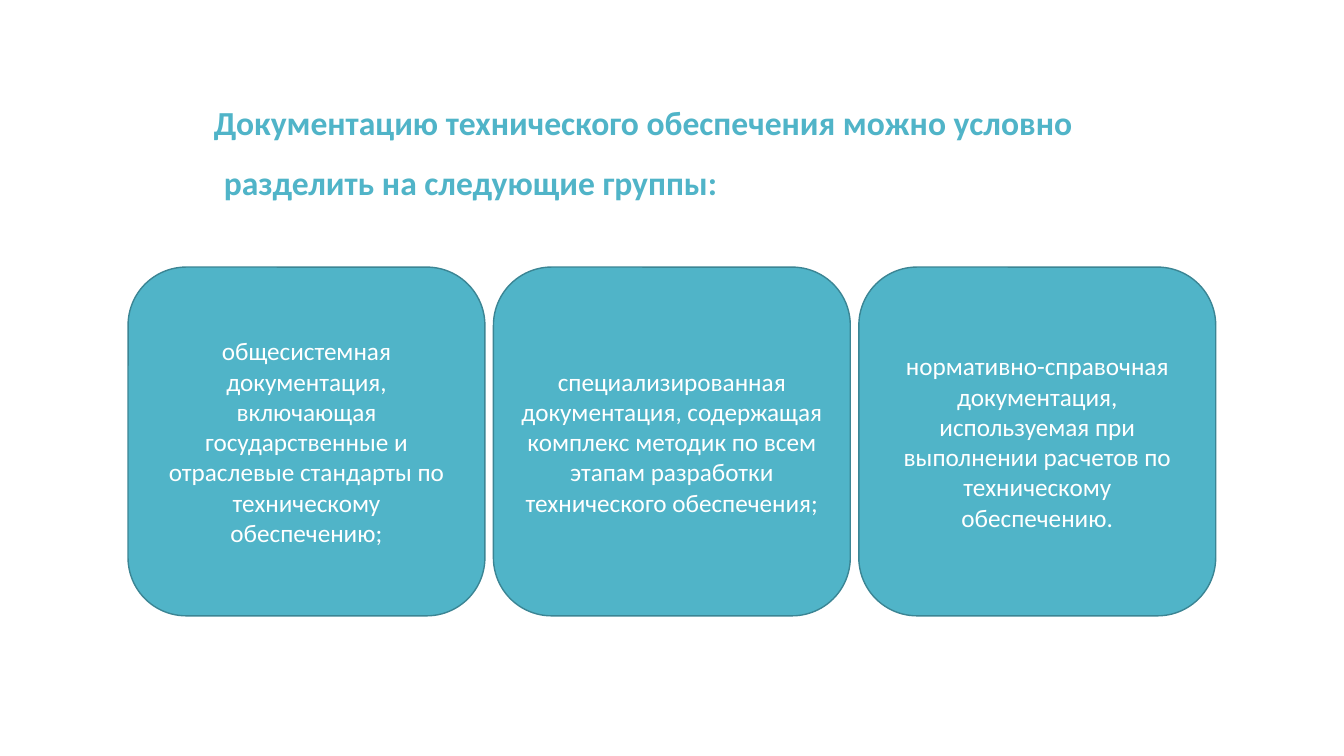
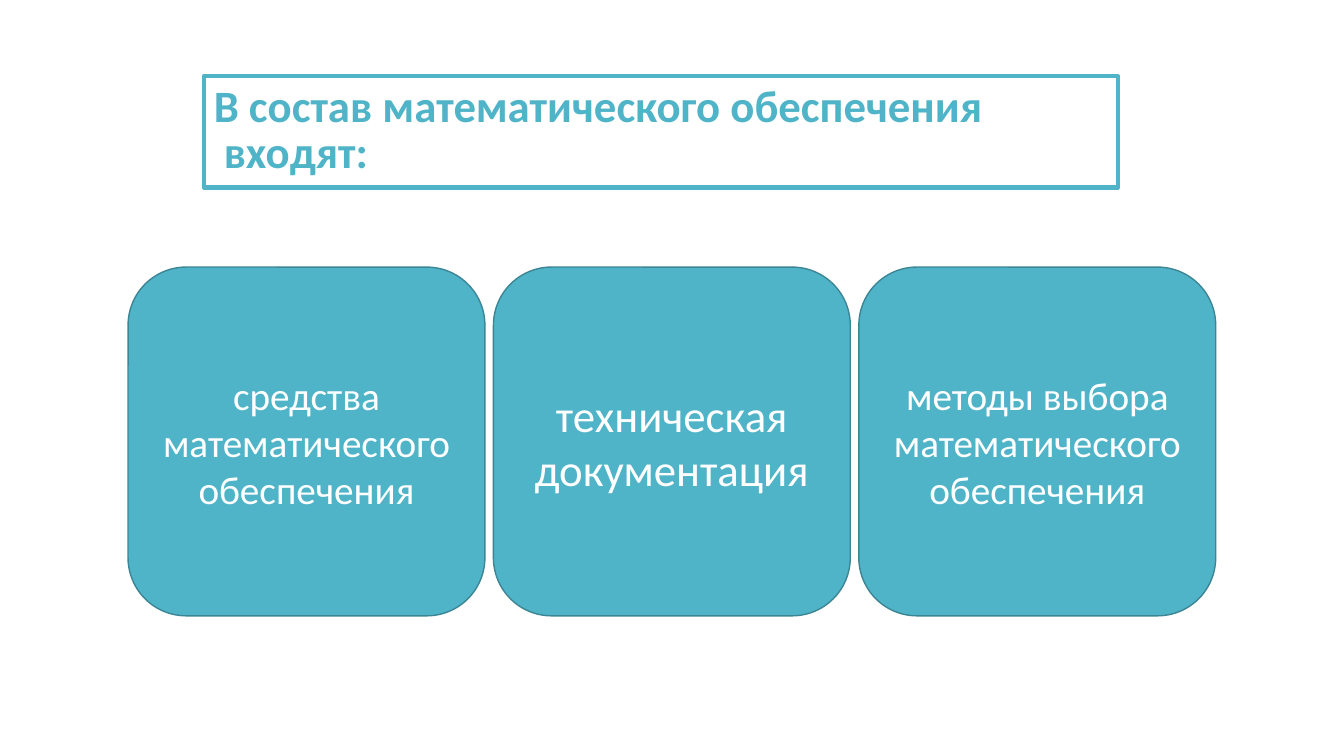
from pptx import Presentation
from pptx.dml.color import RGBColor
from pptx.enum.shapes import MSO_SHAPE
from pptx.enum.text import MSO_ANCHOR, MSO_AUTO_SIZE, PP_ALIGN
from pptx.util import Pt

TEAL, EDGE, WHITE = "50B4C8", "3B8594", "FFFFFF"
LEFT, TOP, WIDE, HIGH, STEP = 91.5, 190.8, 254.9, 249.1, 261


def paint(part, color):
    if hasattr(part, "solid"):
        part.solid()
        part = part.fore_color
    part.rgb = RGBColor.from_string(color)


def write(shape, text, size, color, bold=False, align=PP_ALIGN.CENTER,
          anchor=MSO_ANCHOR.MIDDLE, space=1.0, hang=0):
    frame = shape.text_frame
    frame.word_wrap = True
    frame.auto_size = MSO_AUTO_SIZE.NONE
    frame.vertical_anchor = anchor
    para = frame.paragraphs[0]
    para.alignment = align
    para.line_spacing = space
    if hang:
        props = para._p.get_or_add_pPr()
        props.set("marL", str(Pt(hang)))
        props.set("indent", str(-Pt(hang)))
    run = para.add_run()
    run.text = text
    run.font.name = "Calibri"
    run.font.size = Pt(size)
    run.font.bold = bold
    paint(run.font.color, color)


slides = [
    dict(
        title="Документацию технического обеспечения можно условно "
              "разделить на следующие группы:",
        size=24, high=108, space=1.5, anchor=MSO_ANCHOR.TOP, frame=False,
        cards=[
            ("общесистемная документация, включающая государственные и "
             "отраслевые стандарты по техническому обеспечению;", 18),
            ("специализированная документация, содержащая комплекс методик "
             "по всем этапам разработки технического обеспечения;", 18),
            ("нормативно-справочная документация, используемая при "
             "выполнении расчетов по техническому обеспечению.", 18),
        ],
    ),
    dict(
        title="В состав математического обеспечения входят:",
        size=32, high=79.5, space=0.85, anchor=MSO_ANCHOR.MIDDLE, frame=True,
        cards=[
            ("средства математического обеспечения", 28),
            ("техническая документация", 32),
            ("методы выбора математического обеспечения", 28),
        ],
    ),
]

deck = Presentation()
deck.slide_width, deck.slide_height = Pt(960), Pt(540)

for item in slides:
    slide = deck.slides.add_slide(deck.slide_layouts[5])
    title = slide.shapes.title
    title.left, title.top = Pt(145.5), Pt(54.5)
    title.width, title.height = Pt(653), Pt(item["high"])
    write(title, item["title"], item["size"], TEAL, bold=True,
          align=PP_ALIGN.LEFT, anchor=item["anchor"],
          space=item["space"], hang=7.2)
    if item["frame"]:
        paint(title.line.fill, TEAL)
        title.line.width = Pt(3)

    for col, (text, size) in enumerate(item["cards"]):
        card = slide.shapes.add_shape(
            MSO_SHAPE.ROUNDED_RECTANGLE,
            Pt(LEFT + col * STEP), Pt(TOP), Pt(WIDE), Pt(HIGH))
        card.shadow.inherit = False
        paint(card.fill, TEAL)
        paint(card.line.fill, EDGE)
        card.line.width = Pt(1)
        write(card, text, size, WHITE)

deck.save("out.pptx")
